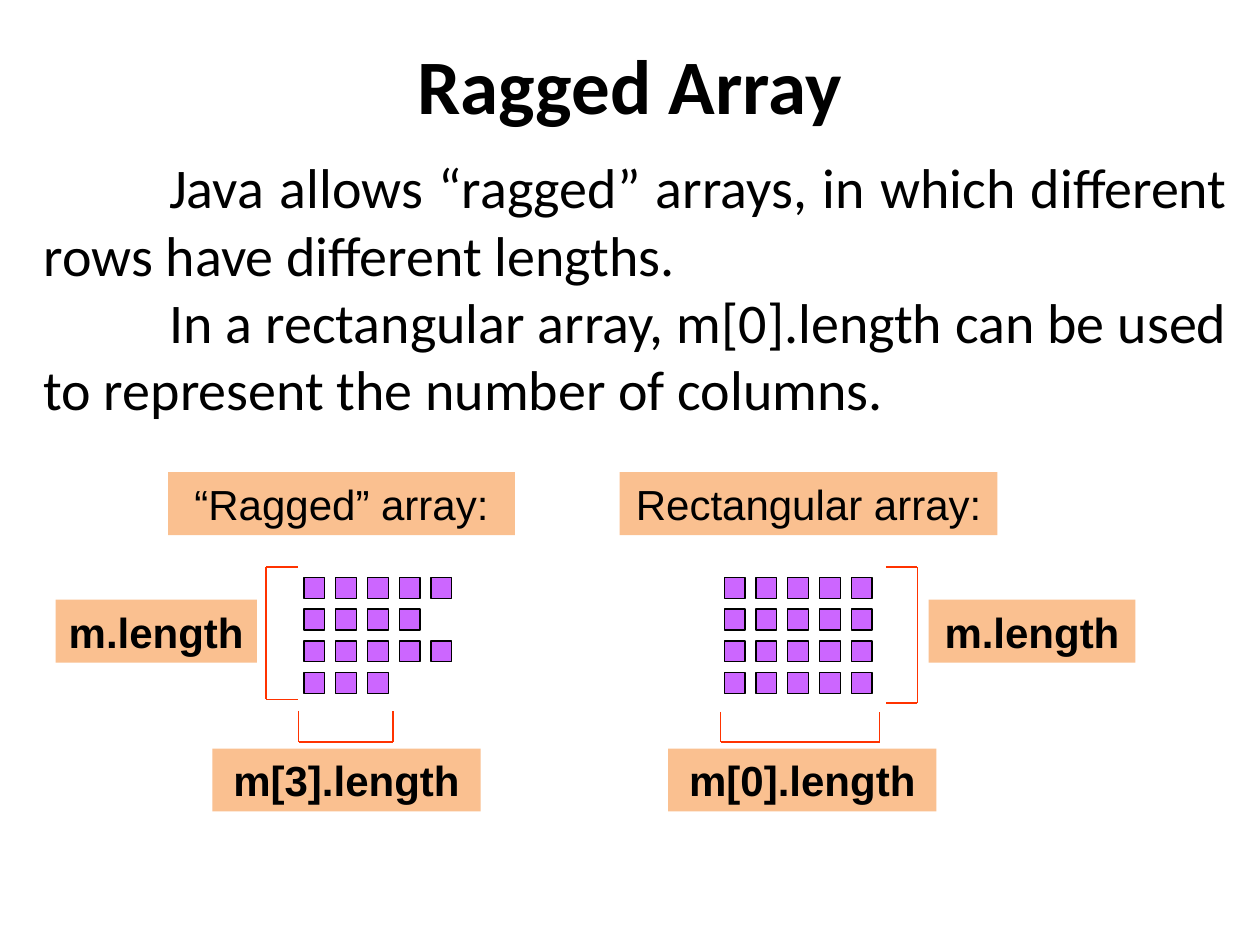
from itertools import pairwise

from lxml import etree
from pptx import Presentation
from pptx.dml.color import RGBColor
from pptx.enum.shapes import MSO_CONNECTOR, MSO_SHAPE
from pptx.enum.text import MSO_ANCHOR, PP_ALIGN
from pptx.oxml.ns import qn
from pptx.util import Cm, Pt

BLACK = RGBColor(0x00, 0x00, 0x00)
PURPLE = RGBColor(0xCC, 0x66, 0xFF)
PEACH = RGBColor(0xFA, 0xC0, 0x90)
RED = RGBColor(0xFF, 0x33, 0x00)
RECTANGLE = MSO_SHAPE.RECTANGLE
STRAIGHT = MSO_CONNECTOR.STRAIGHT
MIDDLE = MSO_ANCHOR.MIDDLE
CENTER, JUSTIFY = PP_ALIGN.CENTER, PP_ALIGN.JUSTIFY


def add_rectangle(left, top, width, height, fill):
    s = slide.shapes.add_shape(RECTANGLE, Cm(left), Cm(top), Cm(width), Cm(height))
    s.shadow.inherit = False
    s.fill.solid()
    s.fill.fore_color.rgb = fill
    return s


def set_font(p, name, size, bold=False):
    p.font.name = name
    p.font.size = Pt(size)
    p.font.bold = bold
    p.font.color.rgb = BLACK


prs = Presentation()
prs.slide_width, prs.slide_height = Cm(25.4), Cm(19.05)
slide = prs.slides.add_slide(prs.slide_layouts[6])

# Title
tf = slide.shapes.add_textbox(Cm(0), Cm(0.42), Cm(25.4), Cm(2.54)).text_frame
tf.word_wrap = True
tf.vertical_anchor = MIDDLE
p = tf.paragraphs[0]
p.text = "Ragged Array"
p.alignment = CENTER
set_font(p, "Calibri", 44, bold=True)

# Explanation, with indented first lines
tf = slide.shapes.add_textbox(Cm(0.63), Cm(2.96), Cm(24.38), Cm(5.74)).text_frame
tf.word_wrap = True
tf.text = (
    "Java allows “ragged” arrays, in which different rows have different lengths.\n"
    "In a rectangular array, m[0].length can be used to represent the number of columns."
)
for p in tf.paragraphs:
    p.alignment = JUSTIFY
    p._p.get_or_add_pPr().set("indent", str(Cm(2.53)))
    set_font(p, "Calibri", 32)

# Array cells: left edge of each array and its row lengths
CELL, PITCH, ARRAY_TOP = 0.42, 0.64, 11.64
for array_left, row_lengths in [(6.13, (5, 4, 5, 3)), (14.6, (5, 5, 5, 5))]:
    for row, length in enumerate(row_lengths):
        for col in range(length):
            s = add_rectangle(array_left + col * PITCH, ARRAY_TOP + row * PITCH,
                              CELL, CELL, PURPLE)
            s.line.color.rgb = BLACK
            s.line.width = Pt(0.75)

# Brackets, each drawn through four corner points
brackets = [
    [(6, 11.43), (5.36, 11.43), (5.36, 14.1), (6, 14.1)],
    [(6.02, 14.33), (6.02, 14.96), (7.92, 14.96), (7.92, 14.33)],
    [(14.53, 14.35), (14.53, 14.96), (17.73, 14.96), (17.73, 14.35)],
    [(17.86, 11.43), (18.49, 11.43), (18.49, 14.17), (17.86, 14.17)],
]
for points in brackets:
    for (x1, y1), (x2, y2) in pairwise(points):
        s = slide.shapes.add_connector(STRAIGHT, Cm(x1), Cm(y1), Cm(x2), Cm(y2))
        s.line.color.rgb = RED
        s.line.width = Pt(0.75)
        etree.SubElement(s._element.spPr, qn("a:effectLst"))

# Labels: text, left, top, width, bold
labels = [
    ("“Ragged” array:", 3.39, 9.52, 6.99, False),
    ("Rectangular array:", 12.49, 9.52, 7.62, False),
    ("m.length", 1.12, 12.09, 4.06, True),
    ("m[3].length", 4.28, 15.09, 5.41, True),
    ("m[0].length", 13.47, 15.09, 5.41, True),
    ("m.length", 18.72, 12.09, 4.17, True),
]
for text, left, top, width, bold in labels:
    s = add_rectangle(left, top, width, 1.27, PEACH)
    s.line.fill.background()
    tf = s.text_frame
    tf.margin_left = tf.margin_right = 0
    tf.vertical_anchor = MIDDLE
    p = tf.paragraphs[0]
    p.text = text
    p.alignment = CENTER
    set_font(p, "Arial", 24, bold)

prs.save("out.pptx")
